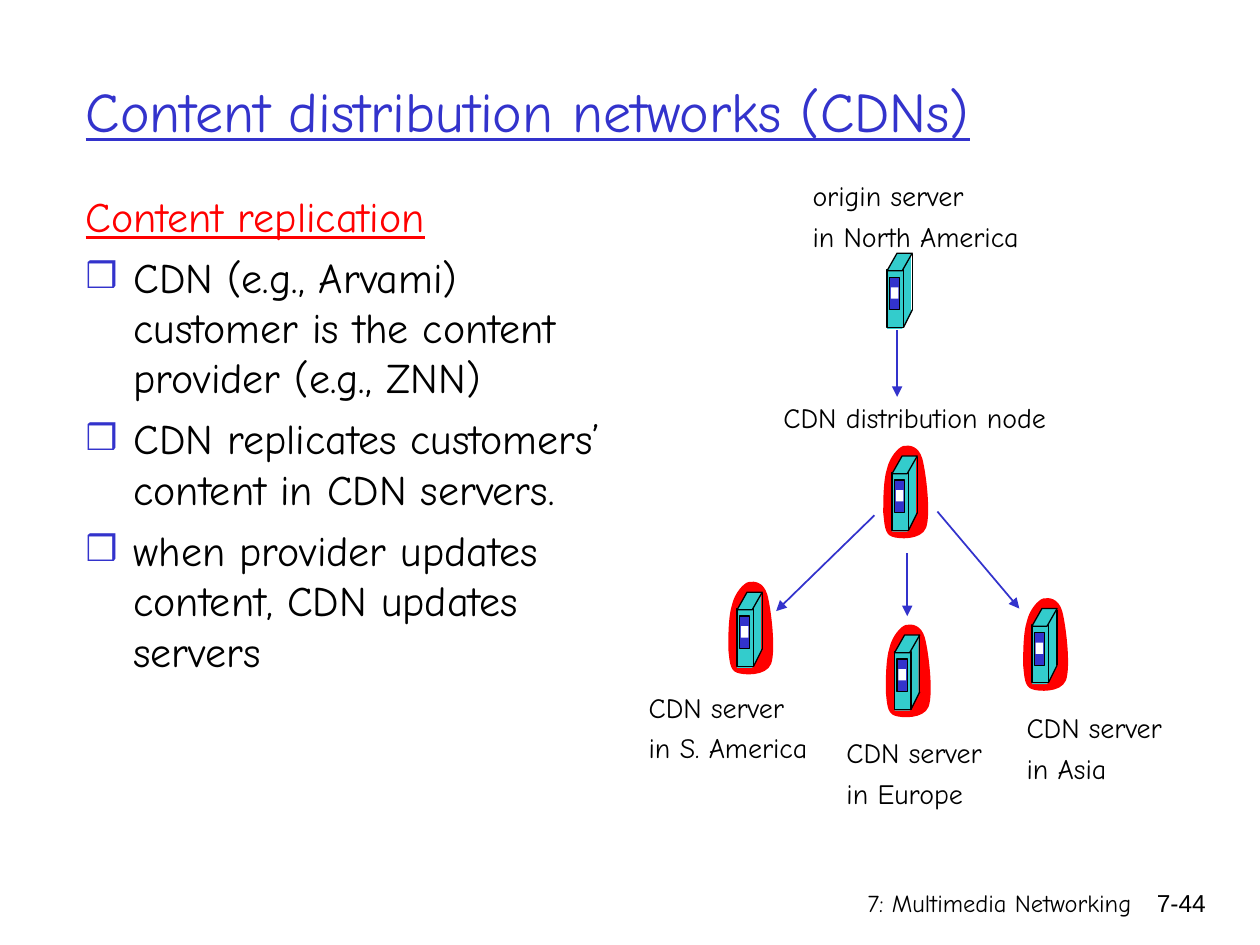
"""Build a slide that explains content replication in content distribution networks."""
from lxml import etree
from pptx import Presentation
from pptx.dml.color import RGBColor
from pptx.enum.shapes import MSO_CONNECTOR, MSO_SHAPE
from pptx.enum.text import MSO_ANCHOR, MSO_AUTO_SIZE, PP_ALIGN
from pptx.oxml.ns import qn
from pptx.util import Inches, Pt

RECTANGLE, PARALLELOGRAM = MSO_SHAPE.RECTANGLE, MSO_SHAPE.PARALLELOGRAM
STRAIGHT = MSO_CONNECTOR.STRAIGHT
LEFT, RIGHT = PP_ALIGN.LEFT, PP_ALIGN.RIGHT
MIDDLE, TOP = MSO_ANCHOR.MIDDLE, MSO_ANCHOR.TOP
FIXED = MSO_AUTO_SIZE.NONE

COLORS = {"blue": "3333CC", "red": "FF0000", "teal": "33CCCC", "black": "000000", "white": "FFFFFF"}

SERVER_PARTS = [
    (PARALLELOGRAM, (0, 0.46, 0.2, 0.14), "teal", False),
    (RECTANGLE, (0.1, 0.01, 0.09, 0.46), "teal", False),
    (RECTANGLE, (0, 0.13, 0.13, 0.46), "teal", True),
    (PARALLELOGRAM, (0, 0, 0.2, 0.14), "teal", True),
    (RECTANGLE, (0.02, 0.19, 0.08, 0.26), "blue", True),
    (RECTANGLE, (0.03, 0.27, 0.06, 0.09), "white", False),
]
SERVER_EDGE = [(0.2, 0.01), (0.2, 0.45), (0.13, 0.59)]

HALO_START = (-0.04, 0.1)
HALO_CURVES = [
    (-0.02, 0.01), (0.05, -0.07), (0.09, -0.08),
    (0.14, -0.09), (0.21, -0.08), (0.24, 0.02),
    (0.27, 0.13), (0.31, 0.46), (0.27, 0.57),
    (0.23, 0.67), (0.05, 0.66), (0, 0.64),
    (-0.06, 0.62), (-0.06, 0.54), (-0.07, 0.45),
    (-0.07, 0.36), (-0.07, 0.19), HALO_START,
]

SERVERS = [(7.04, 2.01, False), (5.85, 4.7, True), (7.1, 5.04, True), (8.19, 4.83, True), (7.08, 3.62, True)]
ARROWS = [
    ((7.12, 2.62), (7.12, 3.15)),
    ((6.94, 4.09), (6.16, 4.85)),
    ((7.2, 4.39), (7.2, 4.89)),
    ((7.44, 4.06), (8.09, 4.83)),
]
LABELS = [
    ((6.35, 1.37, 1.88, 0.69), ["origin server", "in North America"]),
    ((6.12, 3.13, 2.33, 0.37), ["CDN distribution node"]),
    ((5.05, 5.43, 1.51, 0.69), ["CDN server", "in S. America"]),
    ((6.62, 5.79, 1.33, 0.69), ["CDN server", "in Europe"]),
    ((8.05, 5.59, 1.33, 0.69), ["CDN server", "in Asia"]),
]
BULLETS = [
    "CDN (e.g., Arvami) customer is the content provider (e.g., ZNN)",
    "CDN replicates customers’ content in CDN servers.",
    "when provider updates content, CDN updates servers",
]


def color(name):
    """Return the named colour."""
    return RGBColor.from_string(COLORS[name])


class SlideBuilder:
    """Hold the text style and the current slide."""

    font_name = "Comic Neue"

    def __init__(self, slide):
        """Keep the slide to draw on."""
        self.slide = slide

    def format_text(self, paragraph, size, color_name="black", underline=False, font_name=None):
        """Set the font of one paragraph."""
        font = paragraph.font
        font.name = font_name or self.font_name
        font.size = Pt(size)
        font.underline = underline
        font.color.rgb = color(color_name)

    def placeholder(self, index, box, anchor):
        """Place a template placeholder and return its text frame."""
        shape = self.slide.placeholders[index]
        shape.left, shape.top, shape.width, shape.height = map(Inches, box)
        frame = shape.text_frame
        frame.auto_size = FIXED
        frame.vertical_anchor = anchor
        return frame

    def title(self, text, box):
        """Fill the title."""
        paragraph = self.placeholder(0, box, MIDDLE).paragraphs[0]
        paragraph.text = text
        paragraph.alignment = LEFT
        self.format_text(paragraph, 32, "blue", True)

    def bullet(self, paragraph, symbol):
        """Give a paragraph a hanging bullet, or none without a symbol."""
        properties = paragraph._p.get_or_add_pPr()
        indent = Inches(0.38)
        properties.set("marL", str(indent))
        properties.set("indent", str(-indent))
        if not symbol:
            etree.SubElement(properties, qn("a:buNone"))
            return
        bullet_color = etree.SubElement(properties, qn("a:buClr"))
        etree.SubElement(bullet_color, qn("a:srgbClr"), val=COLORS["blue"])
        etree.SubElement(properties, qn("a:buSzPct"), val="85000")
        etree.SubElement(properties, qn("a:buChar"), char=symbol)

    def body(self, heading, items, box):
        """Fill the body with a heading and a list."""
        frame = self.placeholder(1, box, TOP)
        for number, text in enumerate([heading] + items):
            paragraph = frame.add_paragraph() if number else frame.paragraphs[0]
            paragraph.text = text
            self.bullet(paragraph, "❒" if number else None)
            paragraph.space_before = Pt(6 if number else 0)
            self.format_text(paragraph, 24, "black" if number else "red", not number)

    def text(self, lines, box, size, alignment=LEFT, font_name=None):
        """Add a text box with one paragraph a line."""
        frame = self.slide.shapes.add_textbox(*map(Inches, box)).text_frame
        frame.word_wrap = True
        frame.auto_size = FIXED
        for number, line in enumerate(lines):
            paragraph = frame.add_paragraph() if number else frame.paragraphs[0]
            paragraph.text = line
            paragraph.alignment = alignment
            paragraph.space_before = Pt(4 if number else 0)
            self.format_text(paragraph, size, font_name=font_name)

    def paint(self, shape, fill, outlined=False):
        """Set the fill and outline of a shape."""
        shape.shadow.inherit = False
        shape.fill.solid()
        shape.fill.fore_color.rgb = color(fill)
        if outlined:
            shape.line.color.rgb = color("black")
            shape.line.width = Pt(0.75)
        else:
            shape.line.fill.background()

    def line(self, shapes, start, end, color_name, width, arrow=False):
        """Add a straight line, with an arrowhead at its end if asked."""
        connector = shapes.add_connector(STRAIGHT, *map(Inches, start + end))
        connector.line.color.rgb = color(color_name)
        connector.line.width = Pt(width)
        properties = connector.element.spPr
        if arrow:
            etree.SubElement(properties.find(qn("a:ln")), qn("a:tailEnd"), type="triangle")
        etree.SubElement(properties, qn("a:effectLst"))

    def halo(self, shapes, left, top):
        """Add a curved red outline, turning each three segments into one curve."""
        points = [(Inches(left + x), Inches(top + y)) for x, y in HALO_CURVES]
        builder = shapes.build_freeform(*points[-1])
        builder.add_line_segments(points, close=True)
        shape = builder.convert_to_shape()
        segments = list(shape.element.iter(qn("a:lnTo")))
        for first in range(0, len(segments), 3):
            curve = etree.Element(qn("a:cubicBezTo"))
            segments[first].addprevious(curve)
            for segment in segments[first:first + 3]:
                curve.append(segment[0])
                segment.getparent().remove(segment)
        self.paint(shape, "red")

    def server(self, left, top, in_cdn):
        """Add a grouped server, with a halo if it belongs to the CDN."""
        shapes = self.slide.shapes.add_group_shape().shapes
        if in_cdn:
            self.halo(shapes, left, top)
        for kind, (x, y, width, height), fill, outlined in SERVER_PARTS:
            shape = shapes.add_shape(kind, *map(Inches, (left + x, top + y, width, height)))
            if kind == PARALLELOGRAM:
                shape.adjustments[0] = 0.57
            self.paint(shape, fill, outlined)
        corners = [(left + x, top + y) for x, y in SERVER_EDGE]
        for start, end in zip(corners, corners[1:]):
            self.line(shapes, start, end, "black", 0.75)


def main():
    """Build and save the presentation."""
    presentation = Presentation()
    presentation.slide_width, presentation.slide_height = Inches(10), Inches(7.5)
    slide = presentation.slides.add_slide(presentation.slide_layouts[1])
    builder = SlideBuilder(slide)
    builder.text(["7: Multimedia Networking"], (4.86, 7, 4.22, 0.5), 14, RIGHT)
    builder.text(["7-44"], (8.93, 7, 0.74, 0.5), 14, RIGHT, "Arial")
    builder.title("Content distribution networks (CDNs)", (0.58, 0.25, 8.78, 1.25))
    builder.body("Content replication", BULLETS, (0.58, 1.46, 4.45, 5.37))
    for server in SERVERS:
        builder.server(*server)
    for start, end in ARROWS:
        builder.line(slide.shapes, start, end, "blue", 1, True)
    for box, lines in LABELS:
        builder.text(lines, box, 16)
    presentation.save("out.pptx")


if __name__ == "__main__":
    main()
